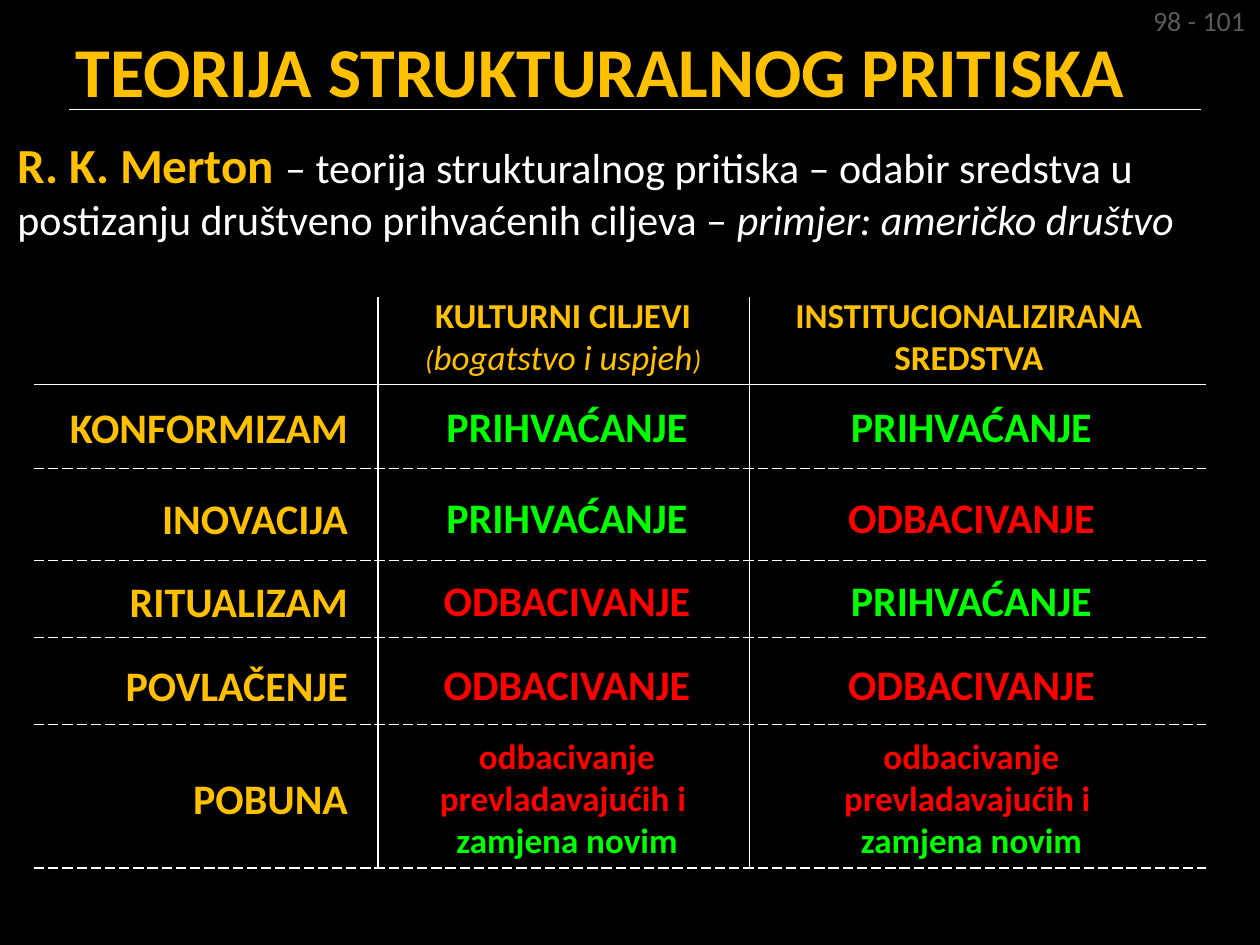
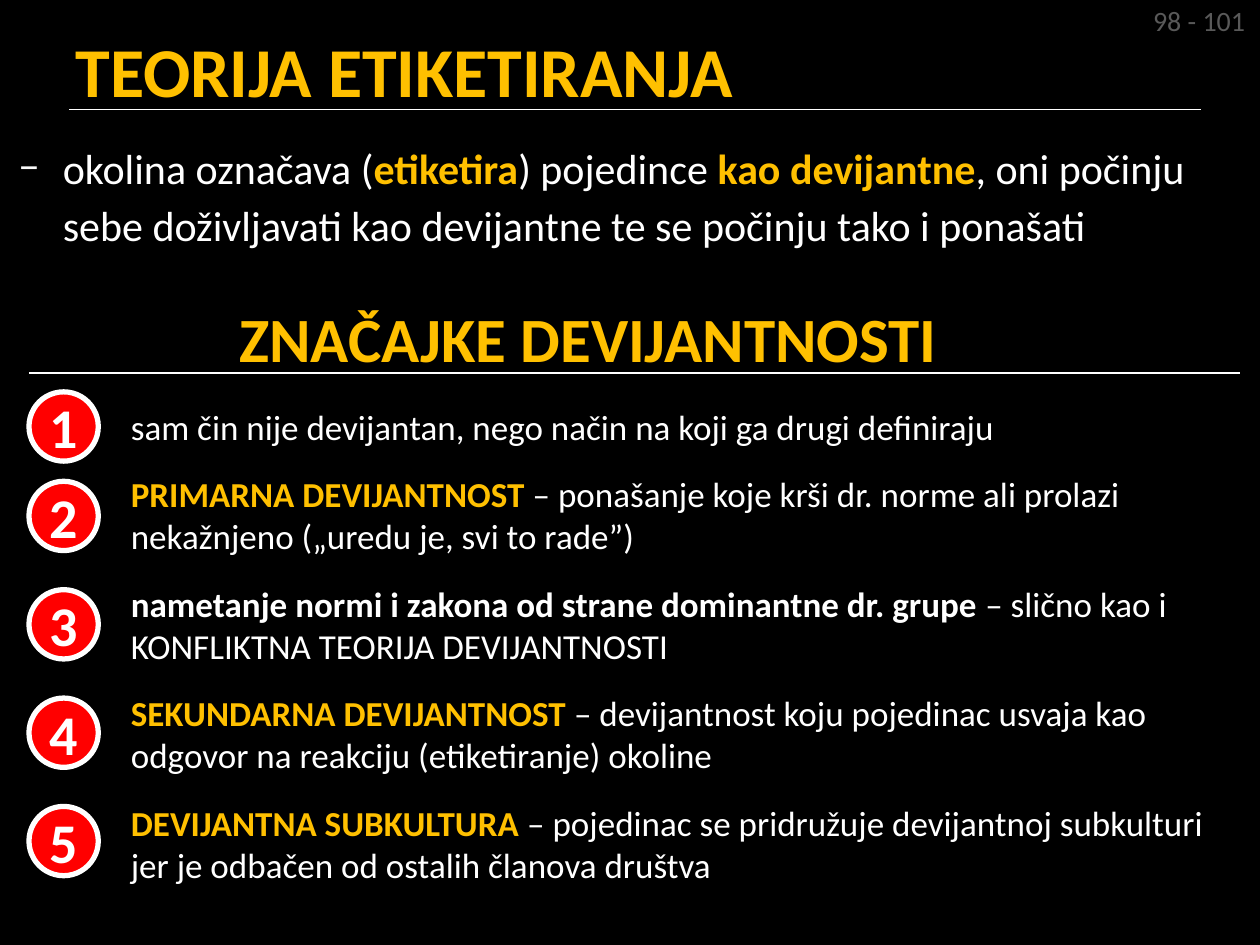
from lxml import etree
from pptx import Presentation
from pptx.dml.color import RGBColor
from pptx.enum.dml import MSO_LINE
from pptx.enum.shapes import MSO_CONNECTOR, MSO_SHAPE
from pptx.enum.text import MSO_ANCHOR, MSO_AUTO_SIZE, PP_ALIGN
from pptx.oxml.ns import qn
from pptx.util import Inches, Pt

# Shared style
BLACK = RGBColor(0x00, 0x00, 0x00)
WHITE = RGBColor(0xFF, 0xFF, 0xFF)
GOLD = RGBColor(0xFF, 0xC0, 0x00)
RED = RGBColor(0xFF, 0x00, 0x00)
GREEN = RGBColor(0x00, 0xFF, 0x00)
GRAY = RGBColor(0x59, 0x59, 0x59)
FONT = "Calibri"

LEFT, CENTER, RIGHT = PP_ALIGN.LEFT, PP_ALIGN.CENTER, PP_ALIGN.RIGHT
TOP, MIDDLE = MSO_ANCHOR.TOP, MSO_ANCHOR.MIDDLE
NO_AUTOFIT = MSO_AUTO_SIZE.NONE
LONG_DASH = MSO_LINE.LONG_DASH
STRAIGHT = MSO_CONNECTOR.STRAIGHT
OVAL = MSO_SHAPE.OVAL
TITLE_ONLY = 5


def style(size, color=WHITE, bold=False, italic=False):
    return {"size": Pt(size), "color": color, "bold": bold, "italic": italic}


PLAIN_24, GOLD_24 = style(24), style(24, GOLD, True)
PLAIN_20, GOLD_20 = style(20), style(20, GOLD, True)


class Deck:
    """Holds the presentation, its style and the current slide."""

    def __init__(self):
        self.presentation = Presentation()
        self.presentation.slide_width = Inches(10)
        self.presentation.slide_height = Inches(7.5)
        background = self.presentation.slide_master.background.fill
        background.solid()
        background.fore_color.rgb = BLACK
        self.slide = None

    def new_slide(self, title):
        layout = self.presentation.slide_layouts[TITLE_ONLY]
        self.slide = self.presentation.slides.add_slide(layout)
        self.line((0.55, 0.87), (9.53, 0.87), 1)
        shape = self.slide.shapes.title
        shape.left, shape.top = Inches(0.5), Inches(0.08)
        shape.width, shape.height = Inches(9), Inches(0.95)
        self.set_text(shape, [[(title, style(40, GOLD, True))]], anchor=MIDDLE)
        self.text(9.04, -0.02, 0.94, 0.37, [[("98 - 101", style(16, GRAY))]],
                  RIGHT, wrap=False)

    def set_text(self, shape, paragraphs, align=LEFT, anchor=TOP, wrap=True):
        """Fill a shape with paragraphs, each a list of (text, format) runs."""
        frame = shape.text_frame
        settings = {"word_wrap": wrap, "vertical_anchor": anchor,
                    "auto_size": NO_AUTOFIT}
        for name, value in settings.items():
            setattr(frame, name, value)
        for index, runs in enumerate(paragraphs):
            paragraph = frame.add_paragraph() if index else frame.paragraphs[0]
            paragraph.alignment = align
            for text, values in runs:
                run = paragraph.add_run()
                run.text = text.rstrip("\n")
                run.font.name = FONT
                for name, value in values.items():
                    if name == "color":
                        run.font.color.rgb = value
                    else:
                        setattr(run.font, name, value)
                if text.endswith("\n"):
                    paragraph.add_line_break()
        return frame.paragraphs[0]

    def text(self, left, top, width, height, paragraphs, align=LEFT,
             anchor=TOP, wrap=True):
        box = self.slide.shapes.add_textbox(
            Inches(left), Inches(top), Inches(width), Inches(height))
        return self.set_text(box, paragraphs, align, anchor, wrap)

    def centered_text(self, center_x, center_y, width, height, paragraphs):
        self.text(center_x - width / 2, center_y - height / 2, width, height,
                  paragraphs, CENTER, MIDDLE)

    def line(self, start, end, width=0.75, dash=None):
        connector = self.slide.shapes.add_connector(
            STRAIGHT, *(Inches(value) for value in (*start, *end)))
        connector.line.color.rgb = WHITE
        connector.line.width = Pt(width)
        if dash is not None:
            connector.line.dash_style = dash
        etree.SubElement(connector._element.spPr, qn("a:effectLst"))

    def number_badge(self, number, top):
        badge = self.slide.shapes.add_shape(
            OVAL, Inches(0.23), Inches(top), Inches(0.55), Inches(0.55))
        badge.shadow.inherit = False
        badge.fill.solid()
        badge.fill.fore_color.rgb = RED
        badge.line.color.rgb = WHITE
        badge.line.width = Pt(3)
        self.set_text(badge, [[(str(number), style(32, WHITE, True))]],
                      CENTER, MIDDLE, wrap=False)

    def dash_bullet(self, paragraph):
        properties = paragraph._p.get_or_add_pPr()
        properties.set("marL", str(Inches(0.6)))
        properties.set("indent", str(Inches(-0.35)))
        color = etree.SubElement(properties, qn("a:buClr"))
        etree.SubElement(color, qn("a:srgbClr"), val="F9F9F9")
        etree.SubElement(properties, qn("a:buFont"), typeface=FONT)
        etree.SubElement(properties, qn("a:buChar"), char="−")


def build_strain_theory(deck):
    deck.new_slide("TEORIJA STRUKTURALNOG PRITISKA")
    intro = deck.text(0.04, 1.02, 9.96, 1.08, [[
        ("R. K. Merton ", style(28, GOLD, True)),
        ("– teorija strukturalnog pritiska – odabir sredstva u postizanju "
         "društveno prihvaćenih ciljeva – ", PLAIN_24),
        ("primjer: američko društvo", style(24, italic=True))]])
    intro.space_before = Pt(12)

    # Grid lines
    for y in (3.05, 3.72, 4.45, 5.06, 5.75, 6.89):
        deck.line((0.27, y), (9.57, y), dash=None if y == 3.05 else LONG_DASH)
    for x in (3, 5.95):
        deck.line((x, 6.89), (x, 2.36))

    # Column headings
    small = style(16, GOLD, italic=True)
    deck.centered_text(4.47, 2.66, 3.31, 0.7, [
        [("KULTURNI CILJEVI", GOLD_20)],
        [("(", small), ("bogatstvo i uspjeh", style(20, GOLD, italic=True)),
         (")", small)]])
    deck.centered_text(7.69, 2.66, 3.75, 0.7,
                       [[("INSTITUCIONALIZIRANA SREDSTVA", GOLD_20)]])

    # Modes of adaptation: goals, then means
    accept = [("PRIHVAĆANJE", style(24, GREEN, True))]
    reject = [("ODBACIVANJE", style(24, RED, True))]
    replace = [("odbacivanje prevladavajućih i \n", style(20, RED, True)),
               ("zamjena novim", style(20, GREEN, True))]
    modes = [("KONFORMIZAM", 3.38, accept, accept),
             ("INOVACIJA", 4.1, accept, reject),
             ("RITUALIZAM", 4.76, reject, accept),
             ("POVLAČENJE", 5.43, reject, reject),
             ("POBUNA", 6.33, replace, replace)]
    for label, center_y, goals, means in modes:
        deck.text(0.44, center_y - 0.31, 2.42, 0.63, [[(label, GOLD_24)]],
                  RIGHT, MIDDLE)
        height = 1.11 if goals is replace else 0.5
        for center_x, answer in ((4.5, goals), (7.71, means)):
            deck.centered_text(center_x, center_y, 3.2, height, [answer])


def build_labeling_theory(deck):
    deck.new_slide("TEORIJA ETIKETIRANJA")
    intro = deck.text(-0.2, 1.02, 10.12, 0.84, [[
        ("okolina označava (", PLAIN_24), ("etiketira", GOLD_24),
        (") pojedince ", PLAIN_24), ("kao devijantne", GOLD_24),
        (", oni počinju sebe doživljavati kao devijantne te se počinju "
         "tako i ponašati", PLAIN_24)]])
    intro.line_spacing = Pt(33)
    intro.space_before = Pt(12)
    deck.dash_bullet(intro)

    # Section heading
    deck.text(1.8, 2.33, 5.8, 0.71,
              [[("ZNAČAJKE DEVIJANTNOSTI", style(36, GOLD, True))]], wrap=False)
    deck.line((0.23, 2.96), (9.84, 2.96))

    # Numbered features
    deck.number_badge(1, 3.11)
    deck.text(0.94, 3.17, 8.98, 0.44, [[
        ("sam čin nije devijantan, nego način na koji ga drugi definiraju",
         PLAIN_20)]])
    features = [
        ("PRIMARNA DEVIJANTNOST ", GOLD,
         "– ponašanje koje krši dr. norme ali prolazi nekažnjeno "
         "(„uredu je, svi to rade”)"),
        ("nametanje normi i zakona od strane dominantne dr. grupe ", WHITE,
         "– slično kao i KONFLIKTNA TEORIJA DEVIJANTNOSTI"),
        ("SEKUNDARNA DEVIJANTNOST ", GOLD,
         "– devijantnost koju pojedinac usvaja kao odgovor na reakciju "
         "(etiketiranje) okoline"),
        ("DEVIJANTNA SUBKULTURA ", GOLD,
         "– pojedinac se pridružuje devijantnoj subkulturi jer je odbačen "
         "od ostalih članova društva")]
    for index, (term, color, explanation) in enumerate(features):
        deck.number_badge(index + 2, 3.82 + 0.86 * index)
        deck.text(0.94, 3.7 + 0.87 * index, 8.98, 0.77,
                  [[(term, style(20, color, True)), (explanation, PLAIN_20)]])


def main():
    deck = Deck()
    build_strain_theory(deck)
    build_labeling_theory(deck)
    deck.presentation.save("out.pptx")


if __name__ == "__main__":
    main()
